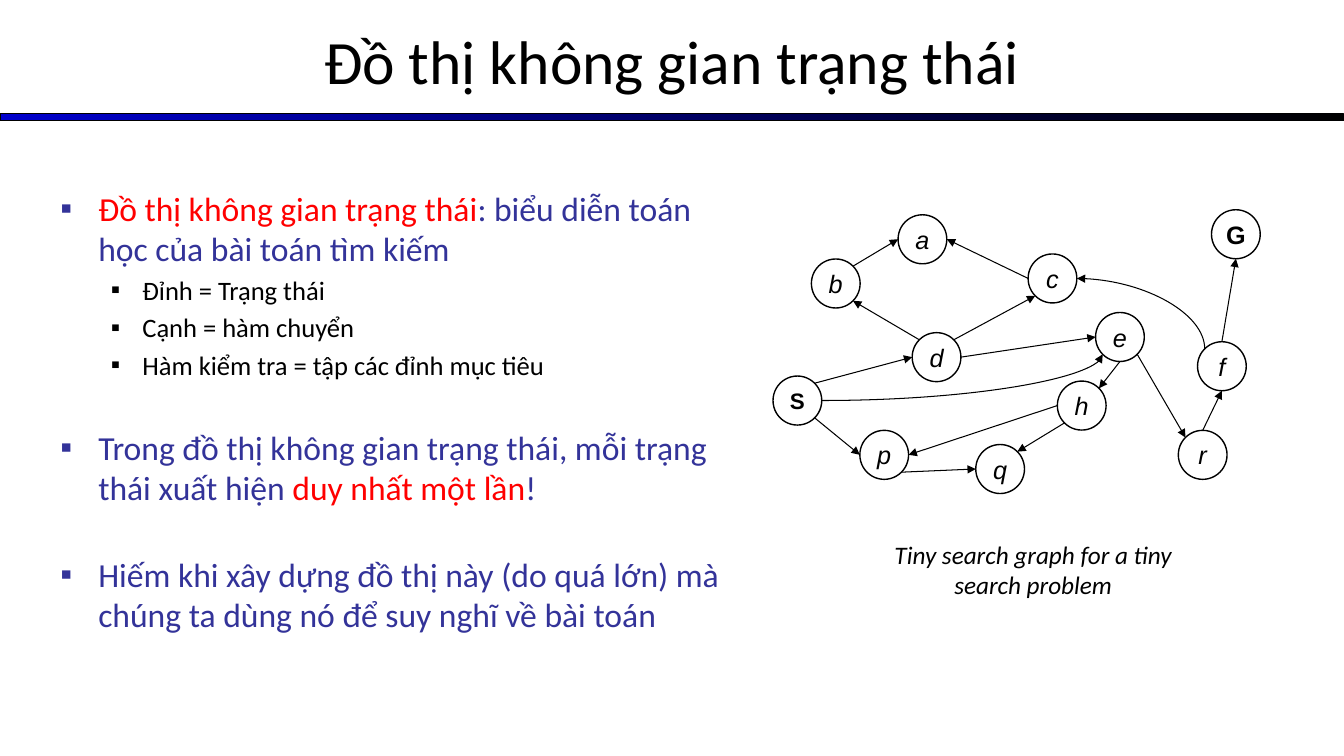
from math import sqrt

from pptx import Presentation
from pptx.dml.color import RGBColor
from pptx.enum.shapes import MSO_CONNECTOR, MSO_SHAPE
from pptx.enum.text import MSO_ANCHOR, MSO_AUTO_SIZE, PP_ALIGN
from pptx.oxml.ns import qn
from pptx.util import Pt
from lxml import etree

LINE = MSO_CONNECTOR.STRAIGHT
CURVE = MSO_CONNECTOR.CURVE
RECT = MSO_SHAPE.RECTANGLE
NODE = MSO_SHAPE.FLOWCHART_CONNECTOR
MIDDLE = MSO_ANCHOR.MIDDLE
TOP = MSO_ANCHOR.TOP
CENTER = PP_ALIGN.CENTER
LEFT = PP_ALIGN.LEFT
FIXED = MSO_AUTO_SIZE.NONE

BLACK, BLUE, NAVY, RED = "000000", "0000CC", "333399", "FF0000"
WIDE, HIGH = 34.8, 35
DIAG = sqrt(0.5)
SIDES = {
    "n": (0, -1), "s": (0, 1), "w": (-1, 0), "e": (1, 0),
    "nw": (-DIAG, -DIAG), "ne": (DIAG, -DIAG),
    "sw": (-DIAG, DIAG), "se": (DIAG, DIAG),
}

NODES = {
    "S": (552.2, 268.6), "G": (865.4, 149.8), "d": (651.6, 237.6),
    "b": (579.6, 185), "p": (614.2, 307.4), "q": (697, 317.5),
    "c": (734.4, 181.4), "e": (782.6, 223.2), "h": (755.3, 272.2),
    "a": (641.5, 153.4), "f": (855.4, 244.1), "r": (841.7, 307.4),
}

EDGES = [
    ("S", "se", "p", "w"), ("p", "se", "q", "w"), ("h", "sw", "q", "ne"),
    ("h", "w", "p", "e"), ("e", "s", "h", "ne"), ("e", "se", "r", "nw"),
    ("r", "n", "f", "s"), ("f", "n", "G", "s"), ("S", "ne", "d", "w"),
    ("d", "nw", "b", "se"), ("b", "ne", "a", "w"), ("c", "w", "a", "e"),
    ("d", "ne", "c", "sw"), ("d", "e", "e", "w"),
]

POINTS = [
    (0, 0, [("Đồ thị không gian trạng thái", RED),
            (": biểu diễn toán học của bài toán tìm kiếm", NAVY)]),
    (1, 4, [("Đỉnh = Trạng thái", BLACK)]),
    (1, 4, [("Cạnh = hàm chuyển", BLACK)]),
    (1, 4, [("Hàm kiểm tra = tập các đỉnh mục tiêu", BLACK)]),
    (0, 33, [("Trong đồ thị không gian trạng thái, mỗi trạng thái xuất hiện ", NAVY),
             ("duy nhất một lần", RED), ("!", NAVY)]),
    (0, 33, [("Hiếm khi xây dựng đồ thị này (do quá lớn) mà "
              "chúng ta dùng nó để suy nghĩ về bài toán", NAVY)]),
]
LEVELS = [(24, 27, -27, NAVY), (19, 58.5, -22.5, BLACK)]


def paint(color, code):
    color.rgb = RGBColor.from_string(code)


def style(font, name, size, code, bold=False, italic=False):
    font.name, font.size = name, Pt(size)
    font.bold, font.italic = bold, italic
    paint(font.color, code)


def place(shape, left, top, width, height):
    shape.left, shape.top = Pt(left), Pt(top)
    shape.width, shape.height = Pt(width), Pt(height)


def add_bar(slide):
    bar = slide.shapes.add_shape(RECT, 0, Pt(81.4), Pt(960), Pt(5))
    bar.shadow.inherit = False
    bar.fill.gradient()
    bar.fill.gradient_angle = 0
    for stop, code in zip(bar.fill.gradient_stops, (BLUE, BLACK)):
        paint(stop.color, code)
    paint(bar.line.color, BLACK)
    bar.line.width = Pt(0.75)


def add_title(slide, text):
    title = slide.shapes.title
    place(title, 0, -2, 960, 90)
    frame = title.text_frame
    frame.text = text
    frame.auto_size = FIXED
    frame.vertical_anchor = MIDDLE
    para = frame.paragraphs[0]
    para.alignment = CENTER
    style(para.runs[0].font, "Calibri", 44, BLACK)


def add_mark(para, indent, hang, code):
    props = para._p.get_or_add_pPr()
    props.set("marL", str(Pt(indent)))
    props.set("indent", str(Pt(hang)))
    tint = etree.SubElement(props, qn("a:buClr"))
    etree.SubElement(tint, qn("a:srgbClr"), val=code)
    etree.SubElement(props, qn("a:buFont"), typeface="Arial")
    etree.SubElement(props, qn("a:buChar"), char="▪")


def add_list(slide):
    body = slide.placeholders[1]
    place(body, 36, 130.3, 498, 356)
    frame = body.text_frame
    frame.auto_size = FIXED
    frame.vertical_anchor = TOP
    for index, (level, gap, parts) in enumerate(POINTS):
        para = frame.add_paragraph() if index else frame.paragraphs[0]
        size, indent, hang, code = LEVELS[level]
        add_mark(para, indent, hang, code)
        para.level = level
        para.alignment = LEFT
        para.space_before = Pt(gap)
        for text, tint in parts:
            run = para.add_run()
            run.text = text
            style(run.font, "Calibri", size, tint)


def add_node(group, name, left, top):
    node = group.shapes.add_shape(NODE, Pt(left), Pt(top), Pt(WIDE), Pt(HIGH))
    node.shadow.inherit = False
    node.fill.background()
    paint(node.line.color, BLACK)
    node.line.width = Pt(1)
    frame = node.text_frame
    frame.text = name
    frame.word_wrap = False
    frame.vertical_anchor = MIDDLE
    frame.margin_left = frame.margin_right = 0
    frame.margin_top = frame.margin_bottom = 0
    para = frame.paragraphs[0]
    para.alignment = CENTER
    goal = name.isupper()
    size = 16 if name == "S" else 18
    style(para.runs[0].font, "Arial", size, BLACK, goal, not goal)


def site(name, side):
    left, top = NODES[name]
    across, down = SIDES[side]
    return Pt(left + WIDE / 2 * (1 + across)), Pt(top + HIGH / 2 * (1 + down))


def add_edge(group, first, out, last, into, kind=LINE, end="a:tailEnd"):
    edge = group.shapes.add_connector(kind, *site(first, out), *site(last, into))
    paint(edge.line.color, BLACK)
    edge.line.width = Pt(0.75)
    props = edge._element.spPr
    if kind == CURVE:
        props.find(qn("a:prstGeom")).set("prst", "curvedConnector2")
    etree.SubElement(props.find(qn("a:ln")), qn(end),
                     type="triangle", w="med", len="med")
    etree.SubElement(props, qn("a:effectLst"))


def add_graph(slide):
    group = slide.shapes.add_group_shape()
    for name, (left, top) in NODES.items():
        add_node(group, name, left, top)
    for edge in EDGES:
        add_edge(group, *edge)
    add_edge(group, "c", "e", "f", "nw", CURVE, "a:headEnd")
    add_edge(group, "S", "e", "e", "sw", CURVE)


def add_note(slide, text):
    box = slide.shapes.add_textbox(Pt(606), Pt(381.6), Pt(264), Pt(51))
    frame = box.text_frame
    frame.word_wrap = True
    frame.text = text
    para = frame.paragraphs[0]
    para.alignment = CENTER
    style(para.runs[0].font, "Calibri", 18, BLACK, italic=True)


def main():
    deck = Presentation()
    deck.slide_width, deck.slide_height = Pt(960), Pt(540)
    slide = deck.slides.add_slide(deck.slide_layouts[1])
    add_bar(slide)
    add_title(slide, "Đồ thị không gian trạng thái")
    add_list(slide)
    add_graph(slide)
    add_note(slide, "Tiny search graph for a tiny search problem")
    deck.save("out.pptx")


if __name__ == "__main__":
    main()
